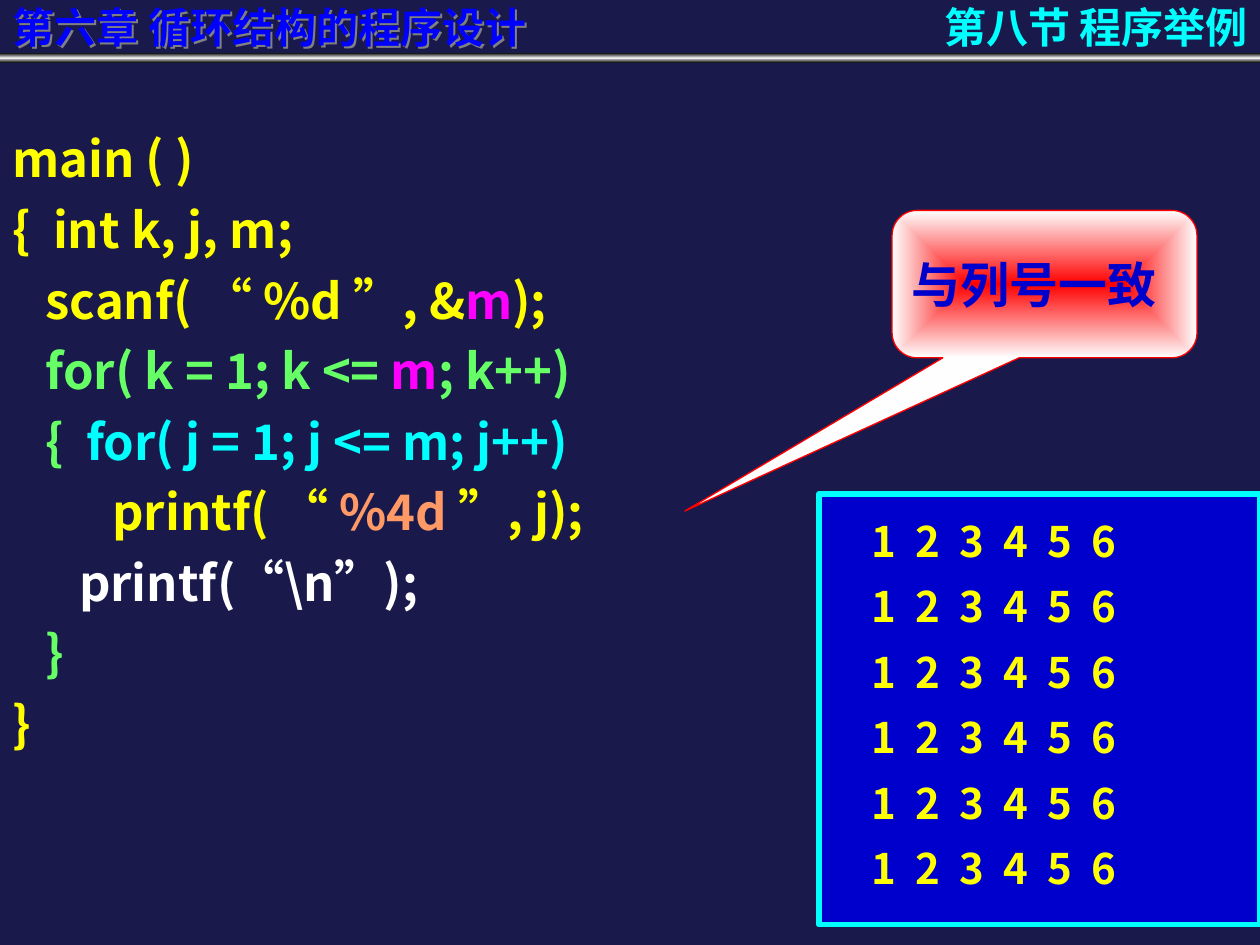
import pptx
import pptx.dml.color
import pptx.enum.shapes
import pptx.enum.text
import pptx.oxml
import pptx.oxml.ns
import pptx.util
from pptx.dml.color import RGBColor
from pptx.util import Inches

NAVY = RGBColor(0x19, 0x19, 0x4B)
BLUE = RGBColor(0x00, 0x00, 0xFF)
PANEL_BLUE = RGBColor(0x00, 0x00, 0xCC)
CYAN = RGBColor(0x00, 0xFF, 0xFF)
YELLOW = RGBColor(0xFF, 0xFF, 0x00)
MAGENTA = RGBColor(0xFF, 0x00, 0xFF)
GREEN = RGBColor(0x66, 0xFF, 0x66)
ORANGE = RGBColor(0xFF, 0x99, 0x66)
WHITE = RGBColor(0xFF, 0xFF, 0xFF)
RED = RGBColor(0xFF, 0x00, 0x00)
BLACK = RGBColor(0x00, 0x00, 0x00)
SILVER = RGBColor(0xEE, 0xEE, 0xEE)
PALE = RGBColor(0xFE, 0xFE, 0xFE)
GREY = RGBColor(0x80, 0x80, 0x80)

SANS = "Noto Sans CJK SC"
SERIF = "Times New Roman"
NAMESPACE = pptx.oxml.ns.nsdecls("a")
LINEAR = '<a:lin ang="5400000" scaled="0"/>'
FROM_CENTRE = ('<a:path path="rect"><a:fillToRect l="50000" t="50000" '
               'r="50000" b="50000"/></a:path>')

OUTPUT_ROWS = 6
OUTPUT_ROW = "  ".join(str(column) for column in range(1, 7))
CODE = [
    [("main ( )", YELLOW)],
    [("{  int k, j, m;", YELLOW)],
    [("   scanf( “ %d ”, &", YELLOW), ("m", MAGENTA), (");", YELLOW)],
    [("   for( k = 1; k <= ", GREEN), ("m", MAGENTA), ("; k++)", GREEN)],
    [("   {  ", GREEN), ("for( j = 1; j <= m; j++)", CYAN)],
    [("         printf( “ ", YELLOW), ("%4d", ORANGE), (" ”, j);", YELLOW)],
    [("      printf(“\\n”);", WHITE)],
    [("   }", GREEN)],
    [("}", YELLOW)],
]


def style_run(run, size, color, latin=SANS):
    run.font.size = pptx.util.Pt(size)
    run.font.bold = True
    run.font.color.rgb = color
    run.font.name = latin
    east_asian = pptx.oxml.parse_xml(f'<a:ea {NAMESPACE} typeface="{SANS}"/>')
    run.font._element.find(pptx.oxml.ns.qn("a:latin")).addnext(east_asian)


def add_text_shadow(heading):
    heading.fill.background()
    heading._element.spPr.append(pptx.oxml.parse_xml(
        f'<a:effectLst {NAMESPACE}><a:outerShdw dist="20000" dir="2700000" '
        f'rotWithShape="0"><a:srgbClr val="{GREY}"/></a:outerShdw>'
        '</a:effectLst>'))


def fill_gradient(shape, stops, direction):
    shape.fill.background()
    stop_list = "".join(
        f'<a:gs pos="{percent * 1000}"><a:srgbClr val="{color}"/></a:gs>'
        for percent, color in stops)
    gradient = pptx.oxml.parse_xml(
        f'<a:gradFill {NAMESPACE} rotWithShape="1">'
        f'<a:gsLst>{stop_list}</a:gsLst>{direction}</a:gradFill>')
    properties = shape._element.spPr
    properties.replace(properties.find(pptx.oxml.ns.qn("a:noFill")), gradient)


def add_block(slide, preset, left, top, width, height):
    block = slide.shapes.add_shape(
        preset, Inches(left), Inches(top), Inches(width), Inches(height))
    block.shadow.inherit = False
    return block


def write_heading(heading, left, width, text, color, alignment):
    heading.left, heading.top = Inches(left), Inches(-0.08)
    heading.width, heading.height = Inches(width), Inches(0.58)
    frame = heading.text_frame
    frame.word_wrap = True
    frame.auto_size = pptx.enum.text.MSO_AUTO_SIZE.NONE
    frame.vertical_anchor = pptx.enum.text.MSO_ANCHOR.MIDDLE
    frame.text = text
    paragraph = frame.paragraphs[0]
    paragraph.alignment = alignment
    style_run(paragraph.runs[0], 24, color)


def add_header(slide):
    rule = add_block(
        slide, pptx.enum.shapes.MSO_SHAPE.RECTANGLE, 0, 0.42, 10, 0.08)
    fill_gradient(rule, [(0, BLACK), (50, SILVER), (100, BLACK)], LINEAR)
    rule.line.fill.background()
    chapter = slide.shapes.title
    write_heading(chapter, 0, 4.92, "第六章 循环结构的程序设计", BLUE,
                  pptx.enum.text.PP_ALIGN.LEFT)
    add_text_shadow(chapter)
    section = slide.shapes.add_textbox(0, 0, 0, 0)
    write_heading(section, 5.42, 4.58, "第八节 程序举例", CYAN,
                  pptx.enum.text.PP_ALIGN.RIGHT)


def add_output(slide):
    panel = add_block(
        slide, pptx.enum.shapes.MSO_SHAPE.RECTANGLE, 6.5, 3.92, 3.5, 3.42)
    panel.fill.solid()
    panel.fill.fore_color.rgb = PANEL_BLUE
    panel.line.color.rgb = CYAN
    panel.line.width = pptx.util.Pt(3)
    frame = panel.text_frame
    frame.margin_left = Inches(0.42)
    frame.vertical_anchor = pptx.enum.text.MSO_ANCHOR.TOP
    frame.text = "\n".join([OUTPUT_ROW] * OUTPUT_ROWS)
    for paragraph in frame.paragraphs:
        paragraph.alignment = pptx.enum.text.PP_ALIGN.LEFT
        paragraph.line_spacing = 1.3
        style_run(paragraph.runs[0], 24, YELLOW)


def add_code(slide):
    listing = slide.shapes.add_textbox(
        Inches(0), Inches(0.88), Inches(7), Inches(6.12))
    frame = listing.text_frame
    frame.word_wrap = True
    frame.text = "\n" * (len(CODE) - 1)
    for paragraph, parts in zip(frame.paragraphs, CODE):
        paragraph.line_spacing = 1.2
        for text, color in parts:
            run = paragraph.add_run()
            run.text = text
            style_run(run, 28, color)


def add_callout(slide):
    callout = add_block(
        slide, pptx.enum.shapes.MSO_SHAPE.ROUNDED_RECTANGULAR_CALLOUT,
        7.08, 1.67, 2.42, 1.17)
    for index, value in enumerate((-1.18, 1.54, 0.17)):
        callout.adjustments[index] = value
    fill_gradient(callout, [(0, RED), (100, PALE)], FROM_CENTRE)
    callout.line.color.rgb = RED
    callout.line.width = pptx.util.Pt(0.75)
    frame = callout.text_frame
    frame.vertical_anchor = pptx.enum.text.MSO_ANCHOR.MIDDLE
    frame.text = "与列号一致"
    paragraph = frame.paragraphs[0]
    paragraph.alignment = pptx.enum.text.PP_ALIGN.LEFT
    style_run(paragraph.runs[0], 28, PANEL_BLUE, SERIF)


def main():
    deck = pptx.Presentation()
    deck.slide_width, deck.slide_height = Inches(10), Inches(7.5)
    slide = deck.slides.add_slide(deck.slide_layouts[5])
    slide.background.fill.solid()
    slide.background.fill.fore_color.rgb = NAVY
    add_header(slide)
    add_output(slide)
    add_code(slide)
    add_callout(slide)
    deck.save("out.pptx")


if __name__ == "__main__":
    main()
